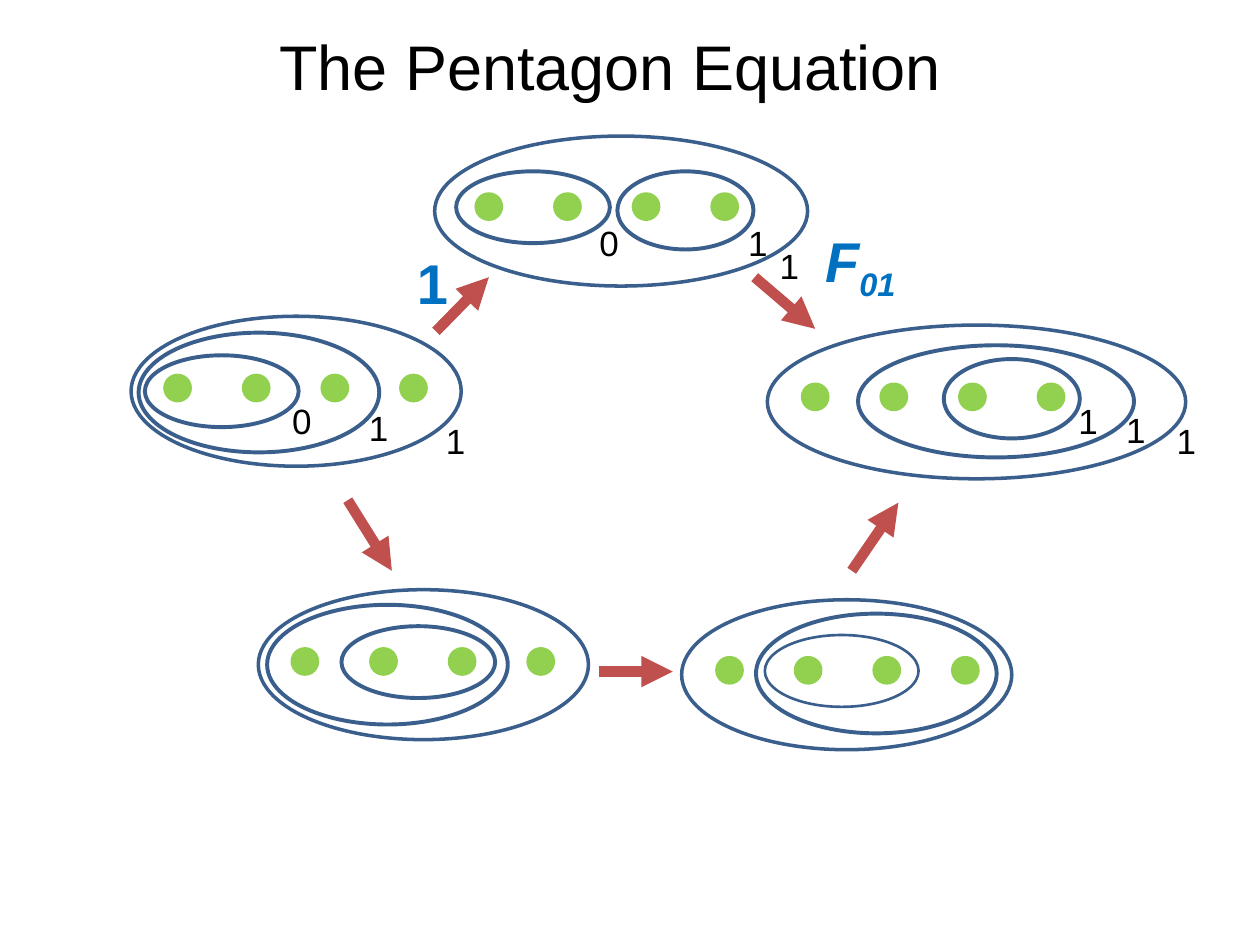
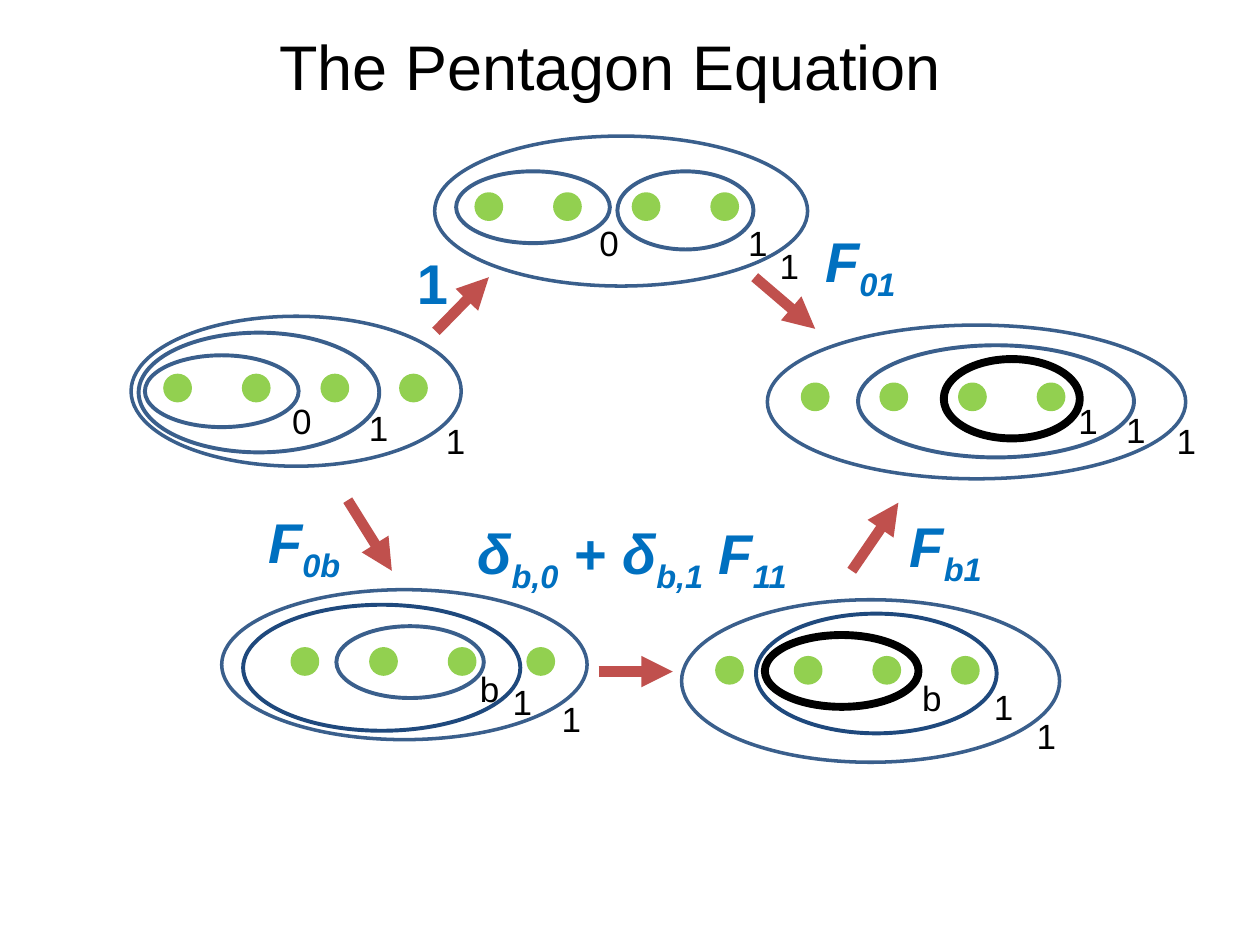
from dataclasses import dataclass

from lxml.etree import SubElement
from pptx import Presentation
from pptx.dml.color import RGBColor
from pptx.enum.shapes import MSO_CONNECTOR as Connector, MSO_SHAPE as Shape
from pptx.enum.text import MSO_AUTO_SIZE as AutoSize
from pptx.oxml.ns import qn
from pptx.util import Inches, Pt

COLUMNS = 100
SLIDE_WIDTH, SLIDE_HEIGHT = Inches(10), Inches(7.5)
CELL = SLIDE_WIDTH // COLUMNS  # square cells: 100 columns by 75 rows


@dataclass(frozen=True)
class Theme:
    font: str = "Arial"
    ink: str = "000000"
    formula: str = "0070C0"
    dot: str = "92D050"
    ring: str = "3A5F8C"
    navy: str = "1F497D"
    arrow: str = "C0504D"
    title_size: int = 36
    formula_size: int = 32
    label_size: int = 20
    arrow_width: int = 6


THEME = Theme()
# Ring pens: colour and line width in points
OUTER = (THEME.ring, 2)
INNER = (THEME.ring, 2.25)
THIN = (THEME.ring, 1.5)
NAVY = (THEME.navy, 2.25)
HEAVY = (THEME.ink, 4.5)

DOT_COUNT, DOT_SIZE, DOT_PITCH = 4, 2, 6.24
LABEL_SIZE = (3.6, 4.4)


@dataclass(frozen=True)
class Bracketing:
    """Four dots in nested rings; parts are offsets from the outer ring's box."""
    box: tuple
    dots: tuple
    rings: tuple
    labels: tuple = ()


LEFT = Bracketing(
    (10.4, 25.1, 26.2, 11.9), (2.7, 4.7),
    ((1.1, 3.1, 12.2, 5.7, INNER), (0.6, 1.3, 19.1, 9.5, INNER)),
    (("0", 11.8, 6.1), ("1", 17.9, 6.7), ("1", 24, 7.7)))
TOP = Bracketing(
    (34.5, 10.8, 29.6, 11.9), (3.3, 4.6),
    ((1.7, 2.8, 12.2, 5.7, INNER), (14.5, 2.8, 10.8, 6.2, INNER)),
    (("0", 12.1, 6.3), ("1", 23.9, 6.3), ("1", 26.4, 8.1)))
LOWER_LEFT = Bracketing(
    (20.5, 46.8, 26.2, 11.9), (2.7, 4.7),
    ((6.6, 2.9, 12.2, 5.7, INNER), (0.7, 1.2, 19.1, 9.5, INNER)))
LOWER_LEFT_LABELLED = Bracketing(
    (17.6, 46.8, 29, 11.9), (5.6, 4.7),
    ((9.1, 2.9, 11.7, 5.7, INNER), (1.7, 1.2, 22, 10, NAVY)),
    (("b", 19.5, 5.7), ("1", 22.1, 6.7), ("1", 26, 8.1)))


def right_bracketing(core_pen):
    return Bracketing(
        (60.9, 25.8, 33.2, 12.2), (2.8, 4.7),
        ((7.2, 1.6, 21.9, 8.9, INNER), (14, 2.7, 10.8, 6.3, core_pen)),
        (("1", 23.7, 5.4), ("1", 27.5, 6.1), ("1", 31.5, 7)))


def lower_right_bracketing(width, height, core_pen, middle_pen, labels=()):
    return Bracketing(
        (54.1, 47.6, width, height), (2.8, 4.6),
        ((6.6, 2.8, 12.2, 5.7, core_pen), (5.9, 1.1, 19.1, 9.5, middle_pen)),
        labels)


ARROWS = (
    (34.6, 26.3, 38.8, 22),
    (59.9, 22, 64.7, 26.1),
    (27.6, 39.7, 31.1, 45.3),
    (47.5, 53.3, 53.4, 53.3),
    (67.6, 45.3, 71.3, 39.9),
)

# Formula pieces alternate between the base line and subscript.
UPPER_FORMULAS = (
    ((32.1, 19.2, 4.5, 6.4), ("1",), False),
    ((64.5, 17.5, 8.2, 6.4), ("F", "01"), True),
)
LOWER_FORMULAS = (
    ((20.3, 39.8, 8.2, 6.4), ("F", "0b"), True),
    ((36.9, 40.7, 27.4, 6.4), ("δ", "b,0", " + δ", "b,1", " F", "11"), True),
    ((71.2, 40.1, 8.2, 6.4), ("F", "b1"), True),
)


def grid(*cells):
    return [round(cell * CELL) for cell in cells]


def add_ellipse(shapes, box, color, width, filled=False):
    ellipse = shapes.add_shape(Shape.OVAL, *grid(*box))
    ellipse.shadow.inherit = False
    if filled:
        ellipse.fill.solid()
        ellipse.fill.fore_color.rgb = RGBColor.from_string(color)
    else:
        ellipse.fill.background()
    ellipse.line.color.rgb = RGBColor.from_string(color)
    ellipse.line.width = Pt(width)


def add_text(shapes, box, pieces, size, color=THEME.ink, bold=False, italic=False):
    """Write pieces in one line, every second one as a subscript."""
    frame = shapes.add_textbox(*grid(*box)).text_frame
    frame.word_wrap = False
    frame.auto_size = AutoSize.SHAPE_TO_FIT_TEXT
    para = frame.paragraphs[0]
    font = para.font
    font.name, font.size = THEME.font, Pt(size)
    font.bold, font.italic = bold, italic
    font.color.rgb = RGBColor.from_string(color)
    for index, piece in enumerate(pieces):
        span = para.add_run()
        span.text = piece
        if index % 2:
            span._r.get_or_add_rPr().set("baseline", "-25000")


def add_arrow(page, ends):
    arrow = page.shapes.add_connector(Connector.STRAIGHT, *grid(*ends))
    arrow.line.color.rgb = RGBColor.from_string(THEME.arrow)
    arrow.line.width = Pt(THEME.arrow_width)
    SubElement(arrow.line._get_or_add_ln(), qn("a:tailEnd"), type="triangle")
    SubElement(arrow._element.spPr, qn("a:effectLst"))


def add_bracketing(page, tree):
    shapes = page.shapes.add_group_shape().shapes
    left, top = tree.box[:2]
    dot_left, dot_top = left + tree.dots[0], top + tree.dots[1]
    for index in range(DOT_COUNT):
        dot = (dot_left + index * DOT_PITCH, dot_top, DOT_SIZE, DOT_SIZE)
        add_ellipse(shapes, dot, THEME.dot, 2, filled=True)
    for x, y, width, height, pen in tree.rings:
        add_ellipse(shapes, (left + x, top + y, width, height), *pen)
    add_ellipse(shapes, tree.box, *OUTER)
    for label, x, y in tree.labels:
        add_text(shapes, (left + x, top + y, *LABEL_SIZE), (label,), THEME.label_size)


def add_pentagon_slide(deck, trees, formulas):
    page = deck.slides.add_slide(deck.slide_layouts[6])
    for tree in trees:
        add_bracketing(page, tree)
    for ends in ARROWS:
        add_arrow(page, ends)
    add_text(page.shapes, (21.2, 1.7, 55, 7.1), ("The Pentagon Equation",), THEME.title_size)
    for box, pieces, italic in formulas:
        add_text(page.shapes, box, pieces, THEME.formula_size, THEME.formula,
                 bold=True, italic=italic)


def main():
    deck = Presentation()
    deck.slide_width, deck.slide_height = SLIDE_WIDTH, SLIDE_HEIGHT
    add_pentagon_slide(
        deck,
        (LEFT, TOP, right_bracketing(INNER), LOWER_LEFT,
         lower_right_bracketing(26.2, 11.9, THIN, INNER)),
        UPPER_FORMULAS)
    add_pentagon_slide(
        deck,
        (LEFT, TOP, right_bracketing(HEAVY), LOWER_LEFT_LABELLED,
         lower_right_bracketing(30, 12.9, HEAVY, NAVY,
                                (("b", 18.1, 5.6), ("1", 23.8, 6.3), ("1", 27.2, 8.6)))),
        UPPER_FORMULAS + LOWER_FORMULAS)
    deck.save("out.pptx")


if __name__ == "__main__":
    main()
